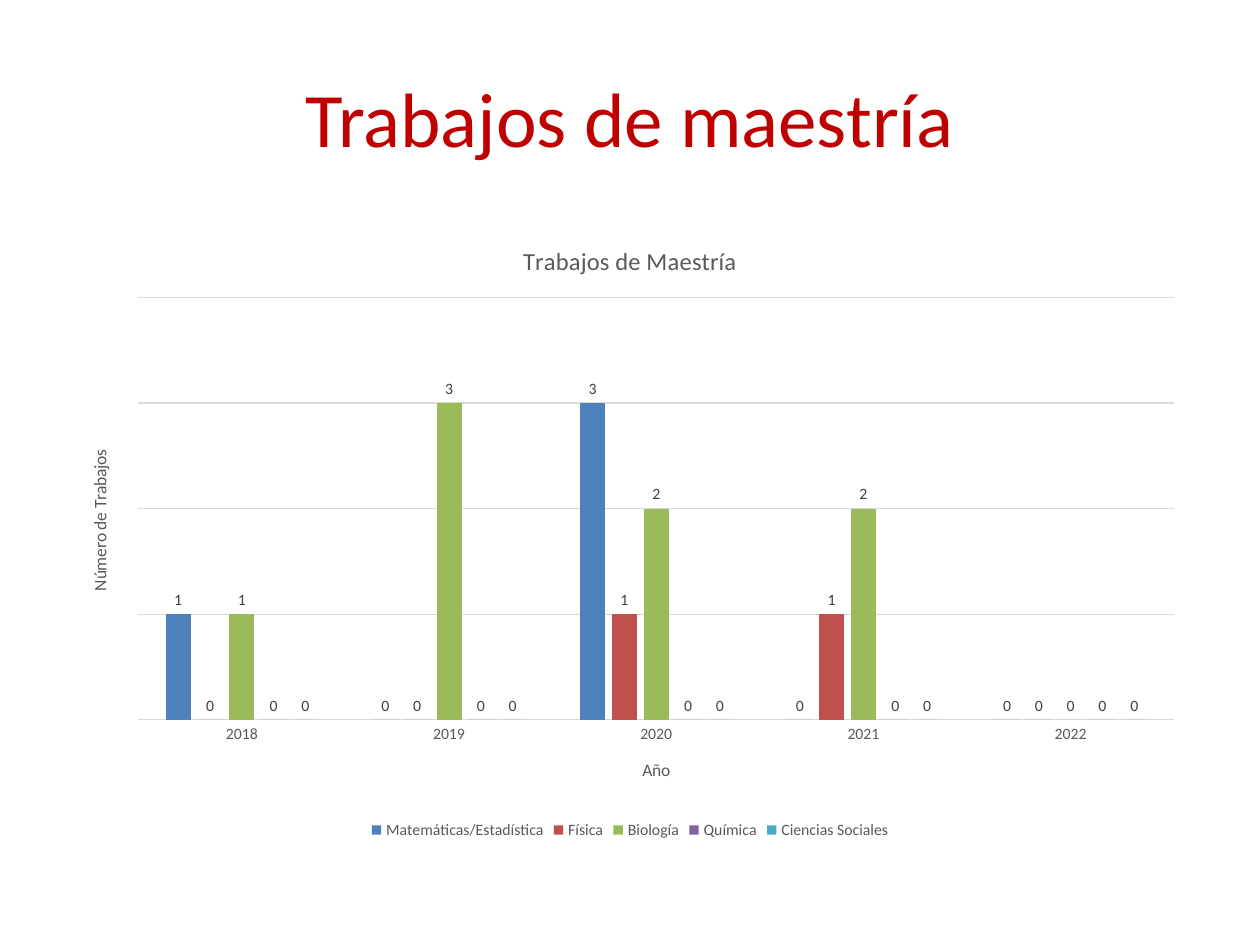
from pptx import Presentation
from pptx.chart.data import CategoryChartData
from pptx.dml.color import RGBColor
from pptx.enum.chart import XL_CHART_TYPE, XL_LABEL_POSITION, XL_LEGEND_POSITION, XL_TICK_MARK
from pptx.enum.text import MSO_ANCHOR, PP_ALIGN
from pptx.util import Cm, Pt

COLUMNS = XL_CHART_TYPE.COLUMN_CLUSTERED
OUTSIDE_END = XL_LABEL_POSITION.OUTSIDE_END
BOTTOM = XL_LEGEND_POSITION.BOTTOM
NO_TICK = XL_TICK_MARK.NONE
MIDDLE = MSO_ANCHOR.MIDDLE
CENTER = PP_ALIGN.CENTER

THEME = {
    "font": "Calibri",
    "heading": "C00000", "muted": "595959", "label": "404040", "grid": "D9D9D9",
    "heading_size": 44, "chart_title_size": 14, "axis_title_size": 10, "small_size": 9,
}

YEARS = ["2018", "2019", "2020", "2021", "2022"]
FIELDS = [
    ("Matemáticas/Estadística", [1, 0, 3, 0, 0], "4F81BD"),
    ("Física", [0, 0, 1, 1, 0], "C0504D"),
    ("Biología", [1, 3, 2, 2, 0], "9BBB59"),
    ("Química", [0, 0, 0, 0, 0], "8064A2"),
    ("Ciencias Sociales", [0, 0, 0, 0, 0], "4BACC6"),
]


def style_font(font, size, color):
    """Apply a theme size and colour to a regular-weight font."""
    font.name = THEME["font"]
    font.size = Pt(THEME[size])
    font.bold = False
    font.color.rgb = RGBColor.from_string(THEME[color])


def write_text(frame, text, size, color):
    """Write one centred, styled run into a text frame."""
    paragraph = frame.paragraphs[0]
    paragraph.alignment = CENTER
    run = paragraph.add_run()
    run.text = text
    style_font(run.font, size, color)


prs = Presentation()
prs.slide_width, prs.slide_height = Cm(25.4), Cm(19.05)
slide = prs.slides.add_slide(prs.slide_layouts[6])

# Heading
heading = slide.shapes.add_textbox(Cm(1.27), Cm(0.76), Cm(22.86), Cm(3.18)).text_frame
heading.word_wrap = True
heading.vertical_anchor = MIDDLE
write_text(heading, "Trabajos de maestría", "heading_size", "heading")

# Theses per year and field
theses = CategoryChartData(number_format="General")
theses.categories = YEARS
for name, counts, _ in FIELDS:
    theses.add_series(name, counts)
chart = slide.shapes.add_chart(
    COLUMNS, Cm(1.27), Cm(4.45), Cm(22.86), Cm(12.57), theses).chart
style_font(chart.font, "small_size", "muted")

chart.has_title = True
chart.chart_title.include_in_layout = False
write_text(chart.chart_title.text_frame, "Trabajos de Maestría", "chart_title_size", "muted")

chart.has_legend = True
chart.legend.position = BOTTOM
chart.legend.include_in_layout = False
style_font(chart.legend.font, "small_size", "muted")

# Axes
year_axis, count_axis = chart.category_axis, chart.value_axis
for axis, caption in ((year_axis, "Año"), (count_axis, "Número de Trabajos")):
    axis.major_tick_mark = axis.minor_tick_mark = NO_TICK
    write_text(axis.axis_title.text_frame, caption, "axis_title_size", "muted")
style_font(year_axis.tick_labels.font, "small_size", "muted")

count_axis.visible = False
count_axis.minimum_scale, count_axis.maximum_scale, count_axis.major_unit = 0, 4, 1
count_axis.has_major_gridlines = True
for line in (year_axis.format.line, count_axis.major_gridlines.format.line):
    line.color.rgb = RGBColor.from_string(THEME["grid"])
    line.width = Pt(0.75)

# Columns
plot = chart.plots[0]
plot.gap_width, plot.overlap = 219, -27
plot.vary_by_categories = False
for series, (_, _, color) in zip(plot.series, FIELDS):
    series.format.fill.solid()
    series.format.fill.fore_color.rgb = RGBColor.from_string(color)
    series.invert_if_negative = False
    labels = series.data_labels
    labels.show_value = True
    labels.position = OUTSIDE_END
    style_font(labels.font, "small_size", "label")

prs.save("out.pptx")
